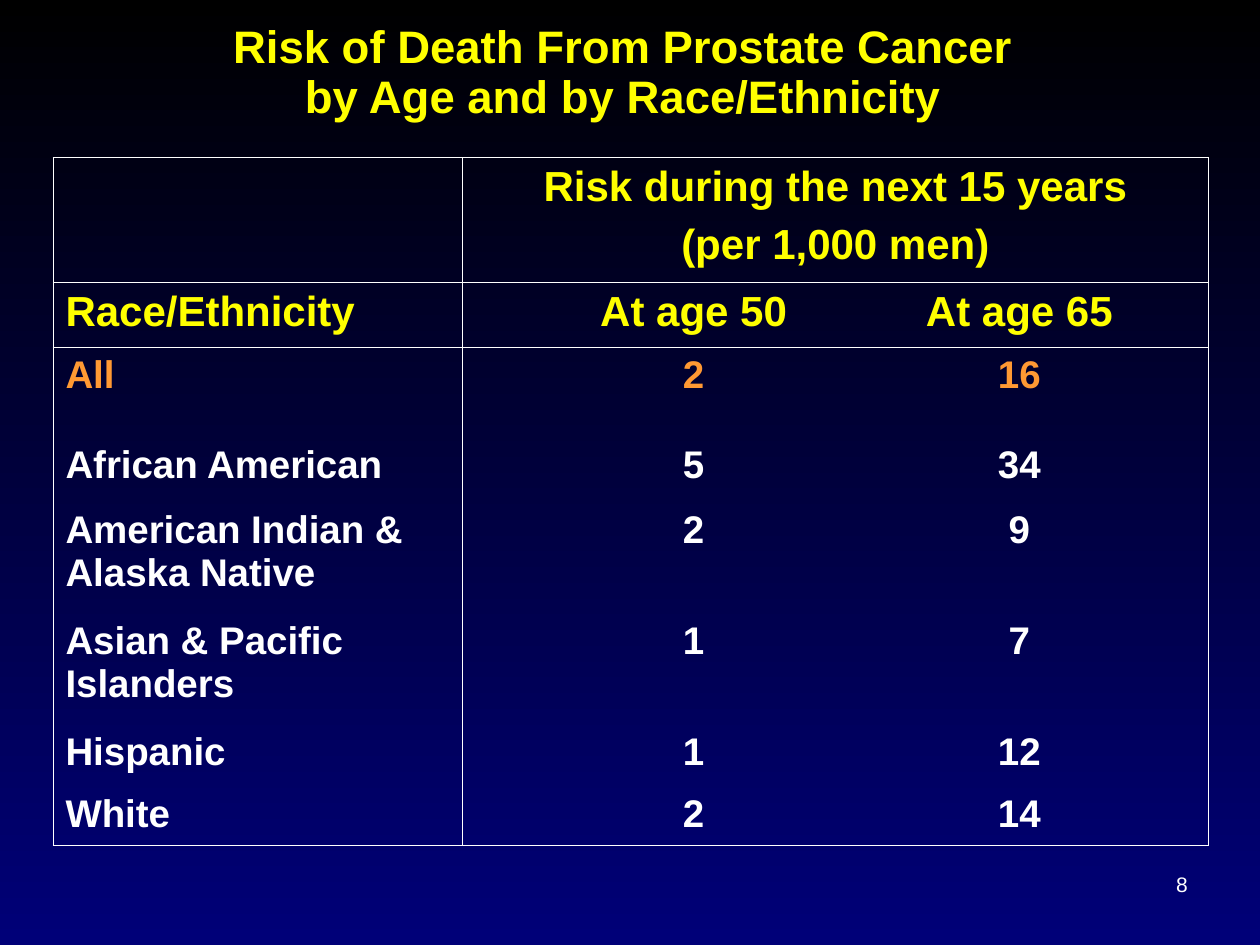
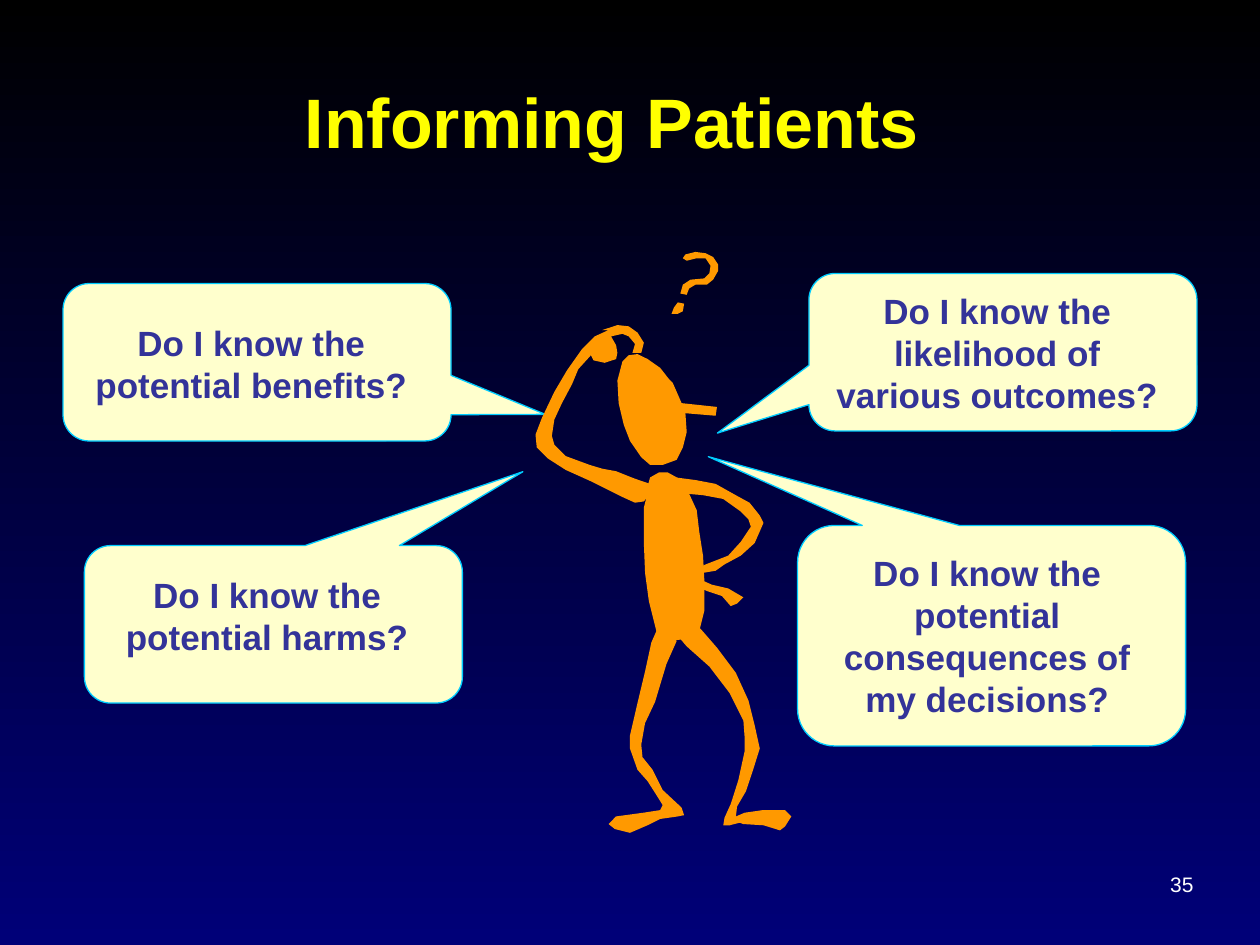
from lxml import etree
from pptx import Presentation
from pptx import util as u
from pptx.dml.color import RGBColor
from pptx.enum import shapes, text
from pptx.oxml import ns

PX = 9144  # 100 px to the inch
FONT = "Arial"
HUES = {
    "top": "000000", "base": "000078", "title": "FFFF00", "text": "FFFFFF",
    "accent": "FF9933", "bubble": "FFFFCD", "edge": "00CCFF",
    "ask": "333399", "figure": "FF9900",
}
NO_STYLE = "{2D5ABB26-0587-4C30-8999-92F81FD0307C}"
MID = text.PP_ALIGN.CENTER
LEFT = text.PP_ALIGN.LEFT

COLS = [325, 75, 217, 300]
ROWS = [99, 52, 71, 52, 88, 88, 49, 47]
HEADS = [
    ["", "Risk during the next 15 years\n(per 1,000 men)", "", ""],
    ["Race/Ethnicity", "", "At age 50", "At age 65"],
]
RISKS = [
    ("All", 2, 16),
    ("African American", 5, 34),
    ("American Indian & Alaska Native", 2, 9),
    ("Asian & Pacific Islanders", 1, 7),
    ("Hispanic", 1, 12),
    ("White", 2, 14),
]

# bubble box, pointer tip, text box, question
ASKS = [
    ((50, 225, 308, 125), (0.743, 0.331), (58, 250, 283, 77),
     "Do I know the potential benefits?"),
    ((67, 433, 300, 125), (0.66, -0.969), (58, 450, 308, 77),
     "Do I know the potential harms?"),
    ((642, 217, 308, 125), (-0.736, 0.514), (650, 225, 283, 110),
     "Do I know the likelihood of various outcomes?"),
    ((633, 417, 308, 175), (-0.73, -0.812), (642, 433, 283, 144),
     "Do I know the potential consequences of my decisions?"),
]

# outlines as x, y pairs in px
HEAD = [
    531, 301, 524, 292, 514, 285, 506, 281, 499, 282, 494, 287, 490, 302,
    491, 320, 495, 337, 500, 350, 509, 363, 516, 369, 526, 369, 537, 365,
    542, 355, 545, 343, 544, 328, 568, 330, 569, 323, 541, 320, 534, 304]
RAISED = [
    478, 262, 490, 258, 499, 259, 506, 264, 511, 272, 509, 280, 502, 280,
    504, 273, 499, 267, 494, 265, 485, 267, 489, 274, 490, 280, 489, 285,
    480, 288, 471, 286, 469, 282, 459, 293, 454, 305, 446, 320, 440, 333,
    438, 346, 440, 353, 449, 362, 468, 369, 478, 372, 489, 374, 504, 380,
    516, 384, 516, 392, 511, 398, 504, 399, 493, 394, 469, 382, 449, 373,
    435, 364, 426, 355, 425, 345, 430, 332, 440, 311, 450, 294, 462, 277,
    472, 267, 483, 262]
TRUNK = [
    514, 386, 516, 379, 523, 375, 530, 375, 539, 380, 547, 392, 553, 405,
    555, 422, 558, 441, 559, 460, 559, 485, 555, 501, 549, 506, 538, 508,
    527, 507, 521, 501, 518, 489, 515, 477, 512, 455, 511, 431, 511, 403,
    514, 391]
BENT = [
    537, 379, 552, 381, 568, 384, 584, 393, 595, 399, 603, 409, 606, 415,
    599, 431, 588, 441, 575, 448, 568, 453, 556, 455, 556, 460, 565, 464,
    578, 467, 590, 474, 585, 479, 580, 481, 573, 473, 561, 469, 552, 465,
    552, 459, 554, 451, 560, 448, 578, 441, 588, 430, 596, 418, 594, 412,
    588, 406, 574, 396, 558, 393, 547, 392, 537, 392, 533, 386]
RIGHT_LEG = [
    549, 494, 541, 494, 539, 506, 545, 513, 563, 529, 579, 550, 590, 572,
    591, 586, 591, 596, 586, 619, 580, 638, 575, 649, 574, 655, 579, 655,
    587, 653, 590, 654, 606, 655, 619, 659, 623, 656, 628, 648, 623, 643,
    605, 643, 591, 645, 584, 648, 585, 640, 592, 628, 598, 610, 603, 594,
    599, 576, 594, 556, 584, 534, 569, 514, 556, 499]
LEFT_LEG = [
    524, 494, 517, 510, 512, 533, 506, 558, 500, 584, 500, 594, 506, 611,
    514, 620, 521, 631, 526, 639, 524, 643, 511, 645, 489, 648, 483, 654,
    488, 658, 500, 661, 514, 655, 524, 650, 538, 648, 543, 647, 541, 641,
    526, 627, 518, 611, 510, 601, 509, 591, 512, 574, 520, 557, 529, 527,
    537, 509, 536, 499, 529, 494]
HOOK = [
    544, 202, 552, 200, 560, 201, 566, 204, 570, 210, 570, 215, 566, 222,
    561, 226, 552, 226, 547, 229, 545, 234, 540, 233, 542, 226, 548, 222,
    559, 221, 563, 217, 564, 211, 560, 205, 553, 205, 545, 207, 542, 205]
DOT = [543, 241, 538, 240, 535, 244, 533, 249, 538, 249, 542, 247]

PERSON = [HEAD, RAISED, TRUNK, BENT, RIGHT_LEG, LEFT_LEG]
QUERY = [HOOK, DOT]


def rgb(hue):
    return RGBColor.from_string(HUES[hue])


def emu(box):
    return [n * PX for n in box]


class Deck:
    def __init__(self):
        self.prs = Presentation()
        self.prs.slide_width, self.prs.slide_height = emu((1000, 750))
        fill = self.prs.slide_master.background.fill
        fill.gradient()
        fill.gradient_angle = 270
        for stop, hue, pos in zip(fill.gradient_stops, ("top", "base"), (0, 1)):
            stop.color.rgb = rgb(hue)
            stop.position = pos

    def page(self, number):
        self.slide = self.prs.slides.add_slide(self.prs.slide_layouts[5])
        self.label((917, 687, 42, 30), str(number), 12, "text", bold=False)

    def put(self, frame, words, size, hue, align=MID, bold=True, gap=0):
        """Fill a frame; gap is the space before every later paragraph."""
        frame.text = words
        for i, para in enumerate(frame.paragraphs):
            para.alignment = align
            para.space_before = u.Pt(gap if i else 0)
            for run in para.runs:
                run.font.name = FONT
                run.font.size = u.Pt(size)
                run.font.bold = bold
                run.font.color.rgb = rgb(hue)

    def title(self, box, words, size, right):
        """Right is the right margin, which sets the text off centre."""
        shape = self.slide.shapes.title
        shape.left, shape.top, shape.width, shape.height = emu(box)
        frame = shape.text_frame
        self.put(frame, words, size, "title")
        frame.auto_size = text.MSO_AUTO_SIZE.NONE
        frame.vertical_anchor = text.MSO_ANCHOR.MIDDLE
        frame.margin_right = right * PX
        frame.paragraphs[0].line_spacing = 0.9

    def label(self, box, words, size, hue, bold=True):
        frame = self.slide.shapes.add_textbox(*emu(box)).text_frame
        frame.word_wrap = True
        self.put(frame, words, size, hue, bold=bold)

    def bubble(self, box, tip):
        kind = shapes.MSO_SHAPE.ROUNDED_RECTANGULAR_CALLOUT
        shape = self.slide.shapes.add_shape(kind, *emu(box))
        for i, value in enumerate((*tip, 0.167)):
            shape.adjustments[i] = value
        shape.shadow.inherit = False
        shape.fill.solid()
        shape.fill.fore_color.rgb = rgb("bubble")
        shape.line.color.rgb = rgb("edge")
        shape.line.width = u.Pt(0.75)

    def sketch(self, outlines):
        """Draw closed outlines as one group."""
        group = self.slide.shapes.add_group_shape()
        for flat in outlines:
            first, *rest = zip(flat[::2], flat[1::2])
            pen = group.shapes.build_freeform(*first, scale=PX)
            pen.add_line_segments(rest, close=True)
            shape = pen.convert_to_shape()
            shape.shadow.inherit = False
            shape.fill.solid()
            shape.fill.fore_color.rgb = rgb("figure")
            shape.line.fill.background()

    def edge(self, cell, side, shown):
        props = cell._tc.get_or_add_tcPr()
        line = etree.SubElement(props, ns.qn("a:ln" + side), w=str(u.Pt(0.45)))
        if shown:
            fill = etree.SubElement(line, ns.qn("a:solidFill"))
            etree.SubElement(fill, ns.qn("a:srgbClr"), val=HUES["text"])
        else:
            etree.SubElement(line, ns.qn("a:noFill"))

    def grid(self, left, top, cols, rows):
        box = emu((left, top, sum(cols), sum(rows)))
        table = self.slide.shapes.add_table(len(rows), len(cols), *box).table
        table._tbl.tblPr.find(ns.qn("a:tableStyleId")).text = NO_STYLE
        for col, width in zip(table.columns, cols):
            col.width = width * PX
        for row, height in zip(table.rows, rows):
            row.height = height * PX
        return table

    def rule(self, table, downs, acrosses):
        """Show only the column and row boundaries listed."""
        for r, row in enumerate(table.rows):
            for c, cell in enumerate(row.cells):
                self.edge(cell, "L", c in downs)
                self.edge(cell, "R", c + cell.span_width in downs)
                self.edge(cell, "T", r in acrosses)
                self.edge(cell, "B", r + 1 in acrosses)
                cell.fill.background()


def risk_page(deck):
    deck.page(8)
    deck.title((42, 0, 917, 117),
               "Risk of Death From Prostate Cancer\vby Age and by Race/Ethnicity",
               26, 22)
    table = deck.grid(42, 125, COLS, ROWS)
    table.cell(0, 1).merge(table.cell(0, 3))
    lines = HEADS + [[name, "", str(at50), str(at65)]
                     for name, at50, at65 in RISKS]
    hues = ["title", "title", "accent"] + ["text"] * (len(RISKS) - 1)
    for r, (line, hue) in enumerate(zip(lines, hues)):
        size = 24 if r < len(HEADS) else 22
        for c, words in enumerate(line):
            if words:
                deck.put(table.cell(r, c).text_frame, words, size, hue,
                         align=MID if c else LEFT, gap=6)
    deck.rule(table, {0, 1, len(COLS)}, {0, 1, 2, len(ROWS)})


def patient_page(deck):
    deck.page(35)
    deck.title((42, 58, 917, 83), "Informing Patients", 40, 40)
    for box, tip, spot, words in ASKS:
        deck.bubble(box, tip)
        deck.label(spot, words, 20, "ask")
    deck.sketch(PERSON)
    deck.sketch(QUERY)


def main():
    deck = Deck()
    risk_page(deck)
    patient_page(deck)
    deck.prs.save("out.pptx")


if __name__ == "__main__":
    main()
